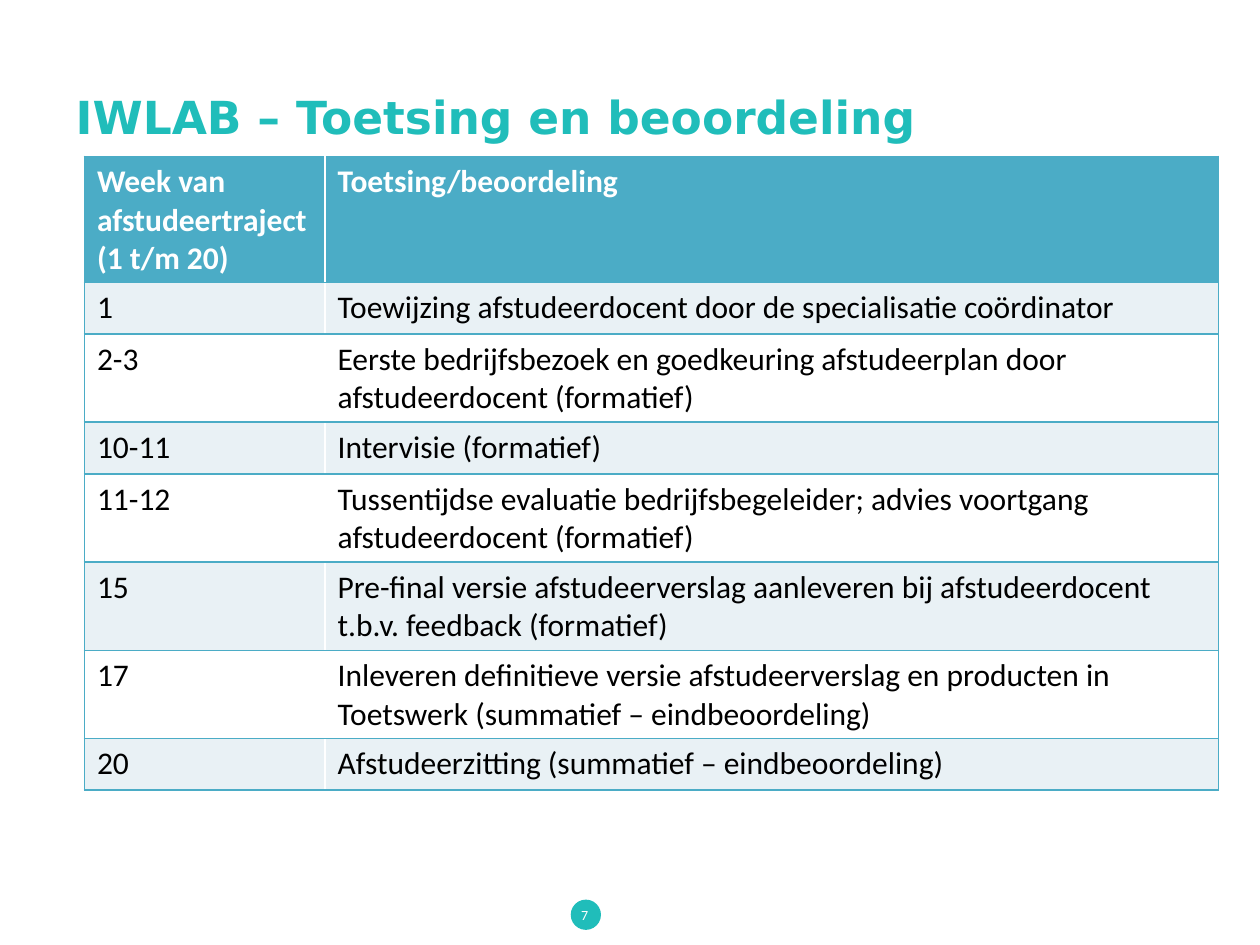
from typing import NamedTuple

from lxml import etree
from pptx import Presentation, util as u
from pptx.dml.color import RGBColor
from pptx.enum import shapes, text
from pptx.oxml.ns import qn

COLORS = {
    "accent": "20BDBA",
    "header": "4BACC6",
    "band": "E9F1F5",
    "white": "FFFFFF",
    "black": "000000",
}
BODY_FONT, TITLE_FONT = "Calibri", "DejaVu Sans"
SLIDE_WIDTH, SLIDE_HEIGHT = u.Inches(10), u.Inches(7.5)
COLUMN_SHARES = (0.191, 0.709)  # of the slide width
ROW_HEIGHT = u.Inches(0.41)


class Moment(NamedTuple):
    week: str
    assessment: str


HEADING = Moment("Week van afstudeertraject (1 t/m 20)", "Toetsing/beoordeling")
MOMENTS = [
    Moment("1", "Toewijzing afstudeerdocent door de specialisatie coördinator"),
    Moment("2-3", "Eerste bedrijfsbezoek en goedkeuring afstudeerplan door "
                  "afstudeerdocent (formatief)"),
    Moment("10-11", "Intervisie (formatief)"),
    Moment("11-12", "Tussentijdse evaluatie bedrijfsbegeleider; advies voortgang "
                    "afstudeerdocent (formatief)"),
    Moment("15", "Pre-final versie afstudeerverslag aanleveren bij afstudeerdocent "
                 "t.b.v. feedback (formatief)"),
    Moment("17", "Inleveren definitieve versie afstudeerverslag en producten in "
                 "Toetswerk (summatief – eindbeoordeling)"),
    Moment("20", "Afstudeerzitting (summatief – eindbeoordeling)"),
]


def color(name: str) -> RGBColor:
    return RGBColor.from_string(COLORS[name])


def write(frame, content: str, size: float, font: str, ink: str,
          bold: bool = False, align=text.PP_ALIGN.LEFT) -> None:
    frame.text = content
    para = frame.paragraphs[0]
    para.alignment = align
    span = para.runs[0].font
    span.size, span.name, span.bold = u.Pt(size), font, bold
    span.color.rgb = color(ink)


def add_borders(cell, sides: str) -> None:
    """Draw 1 pt lines; they must come before the fill in the cell."""
    properties = cell._tc.get_or_add_tcPr()
    for position, side in enumerate(sides):
        line = etree.Element(qn(f"a:ln{side}"), w=str(u.Pt(1)))
        solid = etree.SubElement(line, qn("a:solidFill"))
        etree.SubElement(solid, qn("a:srgbClr"), val=COLORS["header"])
        properties.insert(position, line)


def add_schedule(page) -> None:
    rows = [HEADING, *MOMENTS]
    widths = [int(SLIDE_WIDTH * share) for share in COLUMN_SHARES]
    frame = page.shapes.add_table(len(rows), len(widths), u.Inches(0.67),
                                  u.Inches(1.24), sum(widths), ROW_HEIGHT * len(rows))
    table = frame.table
    for column, width in zip(table.columns, widths):
        column.width = width
    for index, moment in enumerate(rows):
        table.rows[index].height = ROW_HEIGHT
        is_header = index == 0
        fill = "header" if is_header else ("band" if index % 2 else "white")
        for column, (content, sides) in enumerate(zip(moment, ("LTB", "RTB"))):
            cell = table.cell(index, column)
            write(cell.text_frame, content, 18, BODY_FONT,
                  "white" if is_header else "black", bold=is_header)
            cell.fill.solid()
            cell.fill.fore_color.rgb = color(fill)
            add_borders(cell, sides)
    frame.height = u.Inches(5.02)  # rows grow with their wrapped text


def add_page_number(page, number: str) -> None:
    dot = page.shapes.add_shape(shapes.MSO_SHAPE.OVAL, u.Inches(4.53), u.Inches(7.14),
                                u.Inches(0.24), u.Inches(0.24))
    dot.shadow.inherit = False
    dot.fill.solid()
    dot.fill.fore_color.rgb = color("accent")
    dot.line.fill.background()
    box = page.shapes.add_textbox(u.Inches(3.5), u.Inches(7.06),
                                  u.Inches(2.28), u.Inches(0.4))
    box.text_frame.word_wrap = True
    box.text_frame.vertical_anchor = text.MSO_ANCHOR.MIDDLE
    write(box.text_frame, number, 8, BODY_FONT, "white", align=text.PP_ALIGN.CENTER)


def set_title(page, content: str) -> None:
    title = page.shapes.title
    title.left, title.top = int(SLIDE_WIDTH * 0.05), int(SLIDE_HEIGHT * 0.04)
    title.width, title.height = int(SLIDE_WIDTH * 0.9), u.Inches(1.25)
    title.text_frame.vertical_anchor = text.MSO_ANCHOR.MIDDLE
    write(title.text_frame, content, 26, TITLE_FONT, "accent", bold=True)


def main() -> None:
    deck = Presentation()
    deck.slide_width, deck.slide_height = SLIDE_WIDTH, SLIDE_HEIGHT
    page = deck.slides.add_slide(deck.slide_layouts[5])  # title only

    set_title(page, "IWLAB – Toetsing en beoordeling")
    add_page_number(page, "7")
    add_schedule(page)

    deck.save("out.pptx")


if __name__ == "__main__":
    main()
